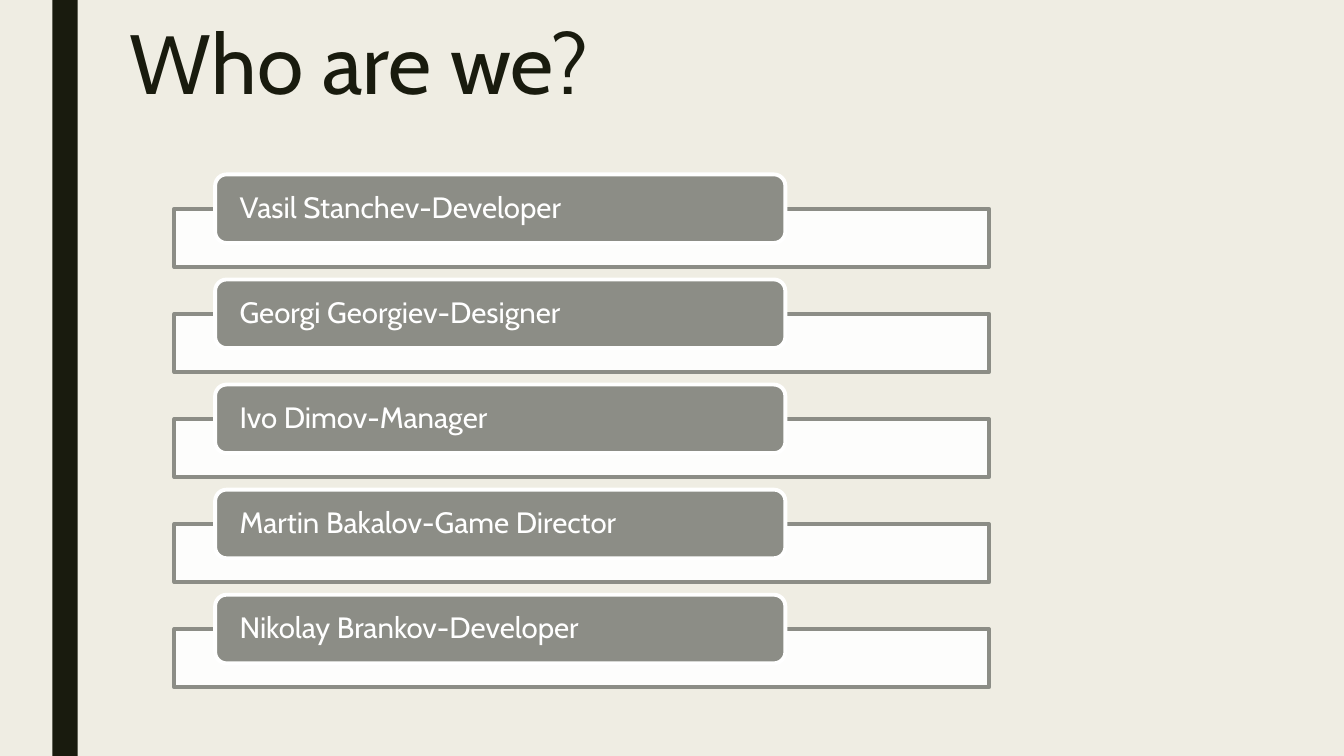
from pptx import Presentation
from pptx.dml.color import RGBColor
from pptx.enum.shapes import MSO_SHAPE as Preset
from pptx.enum.text import MSO_ANCHOR as Anchor, PP_ALIGN as Align
from pptx.oxml.ns import qn
from pptx.util import Inches, Pt
from lxml.etree import SubElement

CREAM = RGBColor(0xEF, 0xED, 0xE3)
DARK = RGBColor(0x19, 0x1B, 0x0E)
GRAY = RGBColor(0x8C, 0x8D, 0x86)
WHITE = RGBColor(0xFF, 0xFF, 0xFF)
FONT = "Cabin"
WIDTH, HEIGHT = 13.33, 7.5
MEMBERS = [
    "Vasil Stanchev-Developer",
    "Georgi Georgiev-Designer",
    "Ivo Dimov-Manager",
    "Martin Bakalov-Game Director",
    "Nikolay Brankov-Developer",
]


def add_box(slide, preset, box, fill, line=None):
    shape = slide.shapes.add_shape(preset, *[Inches(length) for length in box])
    shape.shadow.inherit = False
    shape.fill.solid()
    shape.fill.fore_color.rgb = fill
    if line is None:
        shape.line.fill.background()
    else:
        shape.line.color.rgb = line
        shape.line.width = Pt(2.75)
    return shape


def write_text(frame, text, size, color, spacing):
    frame.word_wrap = True
    paragraph = frame.paragraphs[0]
    paragraph.alignment = Align.LEFT
    paragraph.line_spacing = spacing
    run = paragraph.add_run()
    run.text = text
    run.font.name = FONT
    run.font.size = Pt(size)
    run.font.color.rgb = color


def add_title(slide, box, text):
    title = slide.shapes.add_textbox(*[Inches(length) for length in box])
    title.text_frame.vertical_anchor = Anchor.TOP
    write_text(title.text_frame, text, 60, DARK, 0.89)


def add_member(slide, box, name):
    left, top, width, height = box
    bar_box = (left, top + 0.37 * height, width, 0.63 * height)
    bar = add_box(slide, Preset.RECTANGLE, bar_box, WHITE, GRAY)
    color = bar.fill._xPr.find(qn("a:solidFill"))[0]
    SubElement(color, qn("a:alpha"), val="90000")

    label_box = (left + 0.05 * width, top, 0.7 * width, 0.74 * height)
    label = add_box(slide, Preset.ROUNDED_RECTANGLE, label_box, GRAY, WHITE)
    frame = label.text_frame
    frame.vertical_anchor = Anchor.MIDDLE
    frame.margin_left = frame.margin_right = Inches(0.21)
    frame.margin_top = frame.margin_bottom = 0
    write_text(frame, name, 21, WHITE, 0.94)


def add_member_list(slide, box, names):
    left, top, width, height = box
    row_height = 0.92
    pitch = (height - row_height) / (len(names) - 1)
    for row, name in enumerate(names):
        add_member(slide, (left, top + row * pitch, width, row_height), name)


def main():
    presentation = Presentation()
    presentation.slide_width = Inches(WIDTH)
    presentation.slide_height = Inches(HEIGHT)
    slide = presentation.slides.add_slide(presentation.slide_layouts[6])
    slide.background.fill.solid()
    slide.background.fill.fore_color.rgb = CREAM

    add_box(slide, Preset.RECTANGLE, (0.52, 0, 0.25, HEIGHT), DARK)
    add_title(slide, (1.19, 0.18, 10.5, 1.62), "Who are we?")
    add_member_list(slide, (1.73, 1.73, 8.08, 5.09), MEMBERS)
    presentation.save("out.pptx")


if __name__ == "__main__":
    main()
